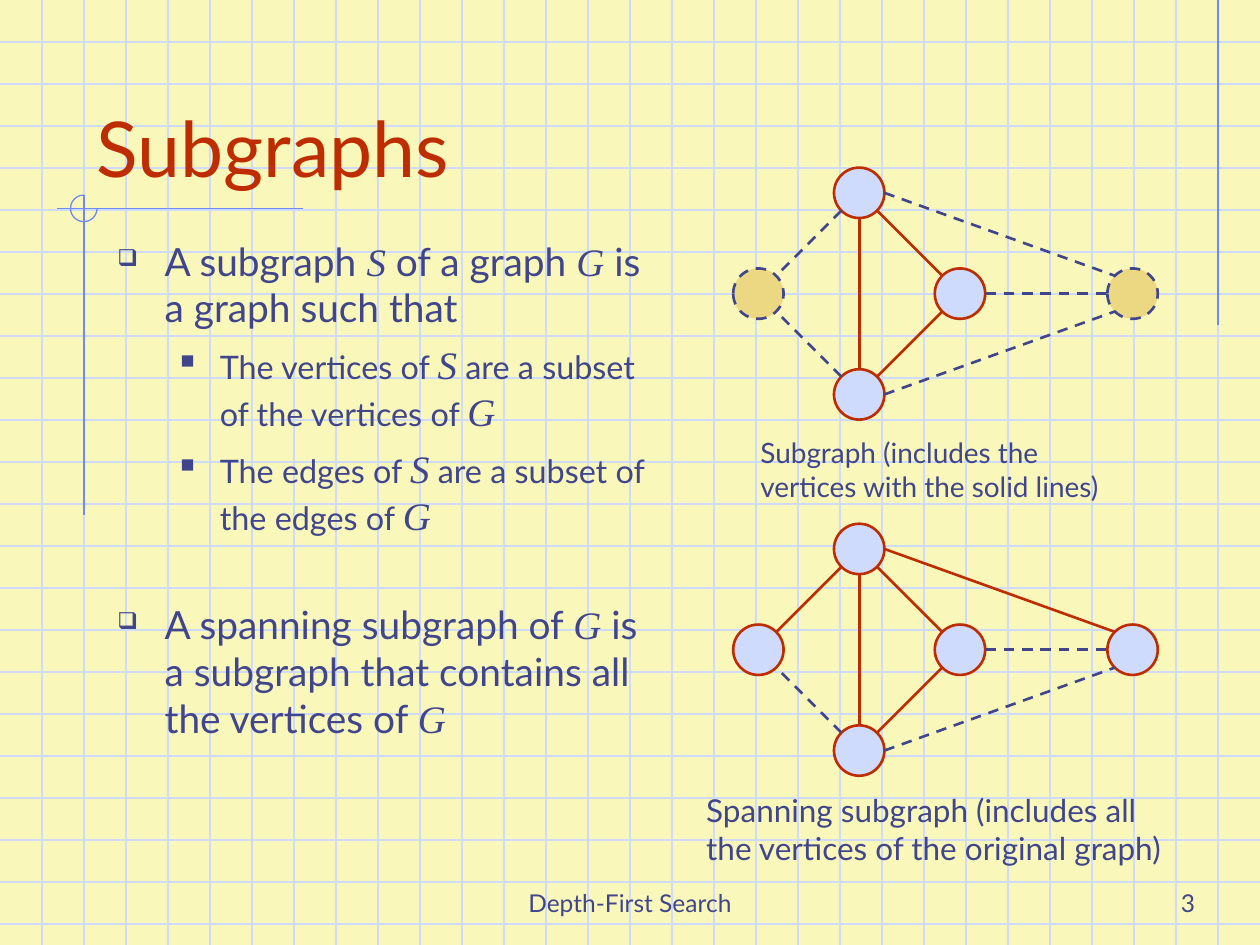
from dataclasses import dataclass

from lxml import etree
from pptx import Presentation
from pptx import util as u
from pptx.dml.color import RGBColor
from pptx.enum import dml, shapes, text
from pptx.oxml.ns import qn


@dataclass(frozen=True)
class Theme:
    paper: str = "F9F8BA"
    grid: str = "CFDBFD"
    margin: str = "6F89F7"
    ink: str = "40458C"
    accent: str = "BE2D00"
    outside: str = "ECD882"
    font: str = "Lato"
    math_font: str = "Times New Roman"
    title: float = 44
    body: float = 22.2
    detail: float = 18.5
    caption: float = 18
    small_caption: float = 16
    footer: float = 14
    hairline: float = 0.75
    stroke: float = 1.5


def write(paragraph, content, *, size, color, font, math_font=None,
          math_size=None, align=text.PP_ALIGN.LEFT, before=0):
    paragraph.alignment = align
    paragraph.space_before = u.Pt(before)
    for index, part in enumerate(content.split("_")):
        if not part:
            continue
        is_math = index % 2 == 1
        run = paragraph.add_run()
        run.text = part
        run.font.name = math_font if is_math else font
        run.font.size = u.Pt(math_size if is_math else size)
        run.font.italic = is_math
        run.font.color.rgb = RGBColor.from_string(color)


def add_bullet(paragraph, mark, color, left, hanging):
    properties = paragraph._p.get_or_add_pPr()
    properties.set("marL", str(u.Pt(left)))
    properties.set("indent", str(-u.Pt(hanging)))
    tint = etree.SubElement(properties, qn("a:buClr"))
    etree.SubElement(tint, qn("a:srgbClr"), val=color)
    etree.SubElement(properties, qn("a:buSzPct"), val="60000")
    etree.SubElement(properties, qn("a:buChar"), char=mark)


class Board:
    def __init__(self, slide, theme):
        self.slide = slide
        self.theme = theme
        fill = slide.background.fill
        fill.solid()
        fill.fore_color.rgb = RGBColor.from_string(theme.paper)

    def stroke(self, line, color, width, dashed=False):
        line.color.rgb = RGBColor.from_string(color)
        line.width = u.Pt(width)
        if dashed:
            line.dash_style = dml.MSO_LINE.DASH

    def line(self, start, end, color, width, dashed=False):
        segment = self.slide.shapes.add_connector(
            shapes.MSO_CONNECTOR.STRAIGHT, *map(u.Pt, (*start, *end)))
        self.stroke(segment.line, color, width, dashed)
        etree.SubElement(segment._element.spPr, qn("a:effectLst"))

    def title(self, content, box):
        heading = self.slide.shapes.title
        heading.left, heading.top, heading.width, heading.height = map(u.Pt, box)
        frame = heading.text_frame
        frame.auto_size = text.MSO_AUTO_SIZE.NONE
        frame.vertical_anchor = text.MSO_ANCHOR.BOTTOM
        write(frame.paragraphs[0], content, size=self.theme.title,
              color=self.theme.accent, font=self.theme.font)
        heading._element.getparent().append(heading._element)

    def frame(self, box, anchor=text.MSO_ANCHOR.TOP):
        frame = self.slide.shapes.add_textbox(*map(u.Pt, box)).text_frame
        frame.word_wrap = True
        frame.vertical_anchor = anchor
        return frame

    def label(self, content, box, size, align=text.PP_ALIGN.LEFT,
              anchor=text.MSO_ANCHOR.TOP):
        write(self.frame(box, anchor).paragraphs[0], content, size=size,
              color=self.theme.ink, font=self.theme.font, align=align)

    def outline(self, items, box):
        theme = self.theme
        frame = self.frame(box)
        for index, (level, before, content) in enumerate(items):
            paragraph = frame.add_paragraph() if index else frame.paragraphs[0]
            paragraph.level = level
            write(paragraph, content, size=theme.detail if level else theme.body,
                  color=theme.ink, font=theme.font, math_font=theme.math_font,
                  math_size=theme.body, before=before)
            mark, left, hanging = ("■", 58.5, 22.5) if level else ("❑", 27, 27)
            add_bullet(paragraph, mark, theme.ink, left, hanging)

    def vertex(self, center, radius, outside=False):
        theme = self.theme
        x, y = center
        disc = self.slide.shapes.add_shape(
            shapes.MSO_SHAPE.OVAL,
            *map(u.Pt, (x - radius, y - radius, 2 * radius, 2 * radius)))
        disc.shadow.inherit = False
        disc.fill.solid()
        disc.fill.fore_color.rgb = RGBColor.from_string(
            theme.outside if outside else theme.grid)
        self.stroke(disc.line, theme.ink if outside else theme.accent,
                    theme.stroke, outside)

    def arc(self, box):
        ring = self.slide.shapes.add_shape(shapes.MSO_SHAPE.ARC, *map(u.Pt, box))
        ring.adjustments[0] = 0
        ring.adjustments[1] = 162
        ring.shadow.inherit = False
        ring.fill.background()
        self.stroke(ring.line, self.theme.margin, self.theme.hairline)

    def paper(self, width, height, step):
        theme = self.theme
        for y in range(step, height, step):
            self.line((0, y), (width, y), theme.grid, theme.hairline)
        for x in range(step, width, step):
            self.line((x, 0), (x, height), theme.grid, theme.hairline)
        for start, end in (((696, 0), (696, 186)),
                           ((173, 119.3), (32.5, 119.3)),
                           ((48, 111.5), (48, 294.5))):
            self.line(start, end, theme.margin, theme.hairline)
        self.arc((40.3, 111.5, 15.2, 15.2))

    def graph(self, center, outside, dashed):
        x, y = center
        radius, reach = 14.4, 57.6
        vertices = {
            "left": (x - reach, y),
            "top": (x, y - reach),
            "middle": (x + reach, y),
            "bottom": (x, y + reach),
            "right": (x + 156.2, y),
        }
        diagonal = 0.71
        sides = {
            "N": (0, -1), "S": (0, 1), "E": (1, 0),
            "NE": (diagonal, -diagonal), "NW": (-diagonal, -diagonal),
            "SE": (diagonal, diagonal), "SW": (-diagonal, diagonal),
            "W": (-1, 0),
        }
        edges = (
            ("top", "SW", "left", "NE"), ("bottom", "NW", "left", "SE"),
            ("bottom", "NE", "middle", "SW"), ("top", "SE", "middle", "NW"),
            ("top", "S", "bottom", "N"), ("middle", "E", "right", "W"),
            ("bottom", "E", "right", "SW"), ("top", "E", "right", "NW"),
        )

        def port(vertex, side):
            return [place + radius * shift
                    for place, shift in zip(vertices[vertex], sides[side])]

        for name, place in vertices.items():
            self.vertex(place, radius, name in outside)
        for first, first_side, second, second_side in edges:
            is_dashed = (first, second) in dashed
            self.line(port(first, first_side), port(second, second_side),
                      self.theme.ink if is_dashed else self.theme.accent,
                      self.theme.stroke, is_dashed)


def main():
    width, height = 720, 540
    deck = Presentation()
    deck.slide_width, deck.slide_height = u.Pt(width), u.Pt(height)
    theme = Theme()
    board = Board(deck.slides.add_slide(deck.slide_layouts[5]), theme)

    board.paper(width, height, 24)
    board.title("Subgraphs", (48, 24, 612, 90))
    board.outline((
        (0, 6, "A subgraph _S_ of a graph _G_ is a graph such that"),
        (1, 6, "The vertices of _S_ are a subset of the vertices of _G_"),
        (1, 6, "The edges of _S_ are a subset of the edges of _G_"),
        (0, 36, "A spanning subgraph of _G_ is a subgraph that contains "
                "all the vertices of _G_"),
    ), (60, 132, 318, 342))

    missing = {("bottom", "left"), ("middle", "right"), ("bottom", "right")}
    board.graph((491, 167.8), {"left", "right"},
                missing | {("top", "left"), ("top", "right")})
    board.label("Subgraph (includes the vertices with the solid lines)",
                (427.5, 245.5, 225, 46), theme.small_caption)
    board.graph((491, 371.3), set(), missing)
    board.label("Spanning subgraph (includes all the vertices of the original graph)",
                (396.5, 448.5, 287.5, 72), theme.caption)

    board.label("Depth-First Search", (246, 492, 228, 36), theme.footer,
                text.PP_ALIGN.CENTER, text.MSO_ANCHOR.BOTTOM)
    board.label("3", (540, 492, 150, 36), theme.footer,
                text.PP_ALIGN.RIGHT, text.MSO_ANCHOR.BOTTOM)
    deck.save("out.pptx")


if __name__ == "__main__":
    main()
